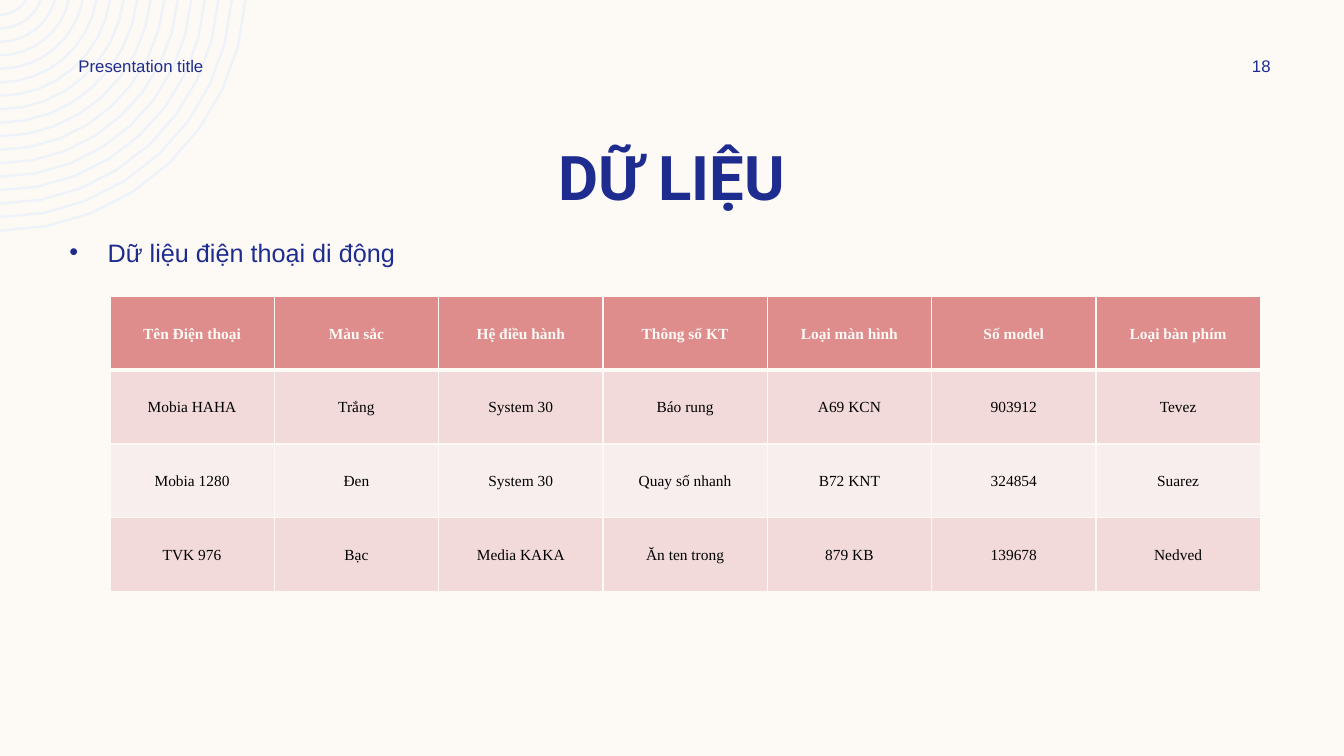
import math

from lxml import etree
from pptx import Presentation
from pptx import util as u
from pptx.dml.color import RGBColor
from pptx.enum import text
from pptx.oxml import ns

COLORS = {
    "cream": "FDFAF6",
    "navy": "1F2C8F",
    "rings": "EEF3FA",
    "header": "DE8C8C",
    "odd_row": "F2DADA",
    "even_row": "F9EEEE",
    "black": "000000",
}
PHONES = [
    ["Tên Điện thoại", "Màu sắc", "Hệ điều hành", "Thông số KT",
     "Loại màn hình", "Số model", "Loại bàn phím"],
    ["Mobia HAHA", "Trắng", "System 30", "Báo rung", "A69 KCN", "903912", "Tevez"],
    ["Mobia 1280", "Đen", "System 30", "Quay số nhanh", "B72 KNT", "324854", "Suarez"],
    ["TVK 976", "Bạc", "Media KAKA", "Ăn ten trong", "879 KB", "139678", "Nedved"],
]


def rgb(name):
    return RGBColor.from_string(COLORS[name])


def write(para, words, size=12, font="Arial", color="navy", bold=False, align=None):
    para.alignment = align
    span = para.add_run()
    span.text = words
    span.font.size = u.Pt(size)
    span.font.name = font
    span.font.bold = bold
    span.font.color.rgb = rgb(color)


def add_text(page, box, words, anchor=text.MSO_ANCHOR.TOP, **style):
    """Add a wrapping text box and return its paragraph."""
    frame = page.shapes.add_textbox(*map(u.Inches, box)).text_frame
    frame.word_wrap = True
    frame.vertical_anchor = anchor
    para = frame.paragraphs[0]
    write(para, words, **style)
    return para


def add_rings(page, left, top, count=17, inner=0.31, outer=2.45, rise=0.15, steps=8):
    """Draw thin arcs centred above the page corner, cut off at its edges."""
    pitch = (outer - inner) / (count - 1)

    def arc(radius):
        start = math.asin(rise / radius)
        angles = [start + (math.pi / 2 - start) * i / steps for i in range(steps + 1)]
        return [(u.Inches(left + radius * math.cos(a)),
                 u.Inches(top + radius * math.sin(a) - rise)) for a in angles]

    builder = None
    for ring in range(count):
        radius = outer - ring * pitch
        points = arc(radius) + arc(radius - 0.18 * pitch)[::-1]
        if builder is None:
            builder = page.shapes.build_freeform(*points[0])
        else:
            builder.move_to(*points[0])
        builder.add_line_segments(points[1:], close=True)
    rings = builder.convert_to_shape()
    rings.shadow.inherit = False
    rings.fill.solid()
    rings.fill.fore_color.rgb = rgb("rings")
    rings.line.fill.background()


def add_header(page, left, top, width, height):
    middle = text.MSO_ANCHOR.MIDDLE
    number_width = 1.08
    add_text(page, (left, top, 3.5, height), "Presentation title", anchor=middle)
    add_text(page, (left + width - number_width, top, number_width, height), "18",
             anchor=middle, align=text.PP_ALIGN.CENTER)


def add_bullet(page, box, words):
    para = add_text(page, box, words, size=18)
    para.space_before = u.Pt(3.6)
    props = para._p.get_or_add_pPr()
    indent = u.Inches(0.38)
    props.set("marL", str(indent))
    props.set("indent", str(-indent))
    etree.SubElement(props, ns.qn("a:buFont"), typeface="Arial")
    etree.SubElement(props, ns.qn("a:buChar"), char="•")


def set_borders(cell, **widths):
    """Give the cell's sides (L, R, T, B) cream lines of the given point widths."""
    props = cell._tc.get_or_add_tcPr()
    for side, width in widths.items():
        line = etree.SubElement(props, ns.qn(f"a:ln{side}"), w=str(u.Pt(width)))
        fill = etree.SubElement(line, ns.qn("a:solidFill"))
        etree.SubElement(fill, ns.qn("a:srgbClr"), val=COLORS["cream"])


def fill_cell(cell, words, row):
    is_header = row == 0
    set_borders(cell, L=1, R=1, T=3 if row == 1 else 1, B=3 if is_header else 1)
    cell.fill.solid()
    band = "odd_row" if row % 2 else "even_row"
    cell.fill.fore_color.rgb = rgb("header" if is_header else band)
    cell.margin_left = cell.margin_right = u.Inches(0.07)
    cell.margin_top = cell.margin_bottom = 0
    cell.vertical_anchor = text.MSO_ANCHOR.MIDDLE
    para = cell.text_frame.paragraphs[0]
    para.line_spacing = 1.07
    para.space_after = u.Pt(8)
    write(para, words, size=11, font="Times New Roman", bold=is_header,
          color="cream" if is_header else "black", align=text.PP_ALIGN.CENTER)


def add_phone_table(page, box):
    size = len(PHONES), len(PHONES[0])
    table = page.shapes.add_table(*size, *map(u.Inches, box)).table
    table.horz_banding = False
    for row, entries in enumerate(PHONES):
        for column, words in enumerate(entries):
            fill_cell(table.cell(row, column), words, row)


def main():
    deck = Presentation()
    deck.slide_width, deck.slide_height = u.Inches(13.33), u.Inches(7.5)
    page = deck.slides.add_slide(deck.slide_layouts[6])
    page.background.fill.solid()
    page.background.fill.fore_color.rgb = rgb("cream")

    add_rings(page, 0, 0)
    add_text(page, (0.83, 1.33, 11.67, 0.84), "DỮ LIỆU", size=44, font="Roboto",
             bold=True, align=text.PP_ALIGN.CENTER)
    add_bullet(page, (0.59, 2.3, 12.16, 4.85), "Dữ liệu điện thoại di động")
    add_header(page, 0.68, 0.5, 12.37, 0.3)
    add_phone_table(page, (1.09, 2.94, 11.41, 2.93))
    deck.save("out.pptx")


if __name__ == "__main__":
    main()
